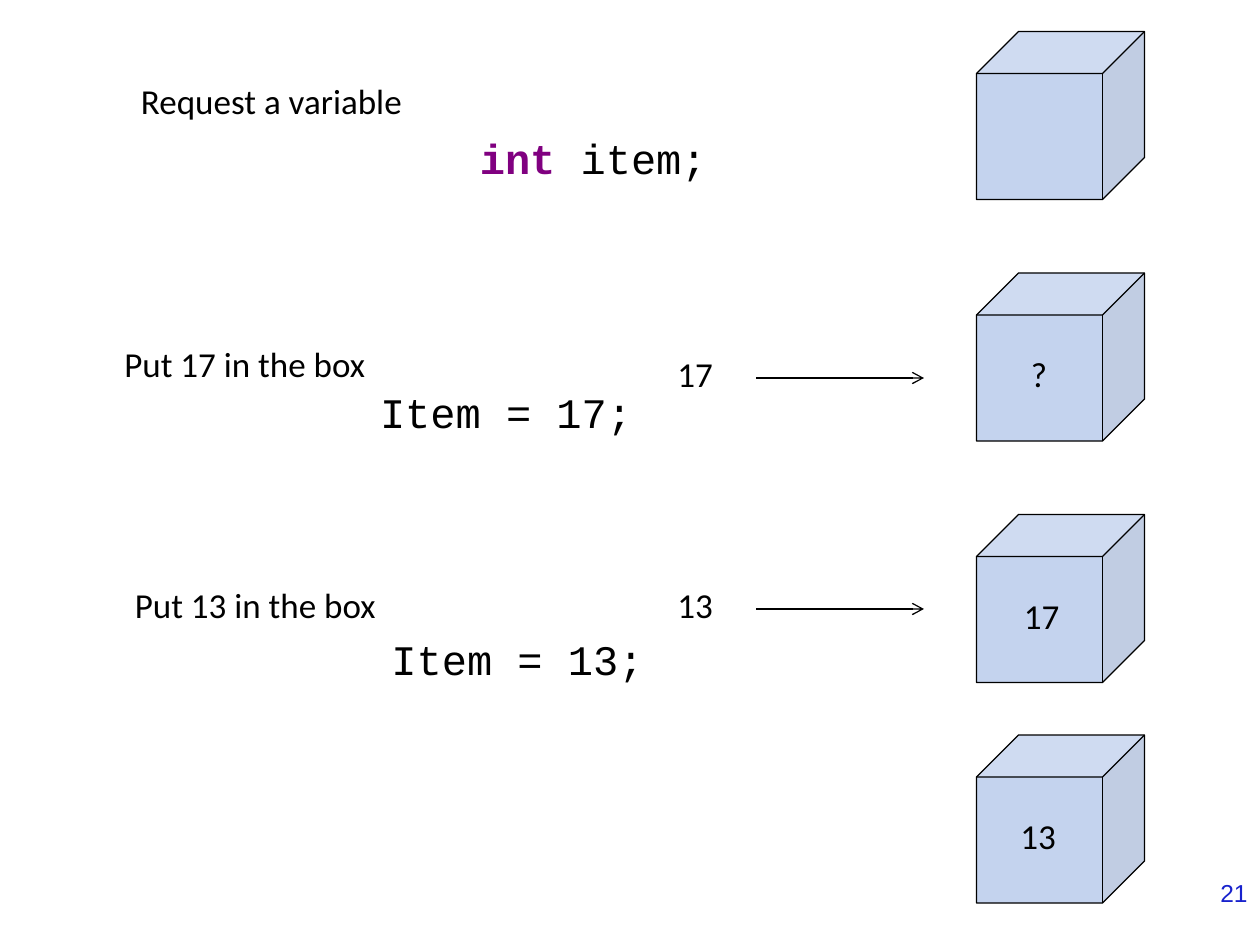
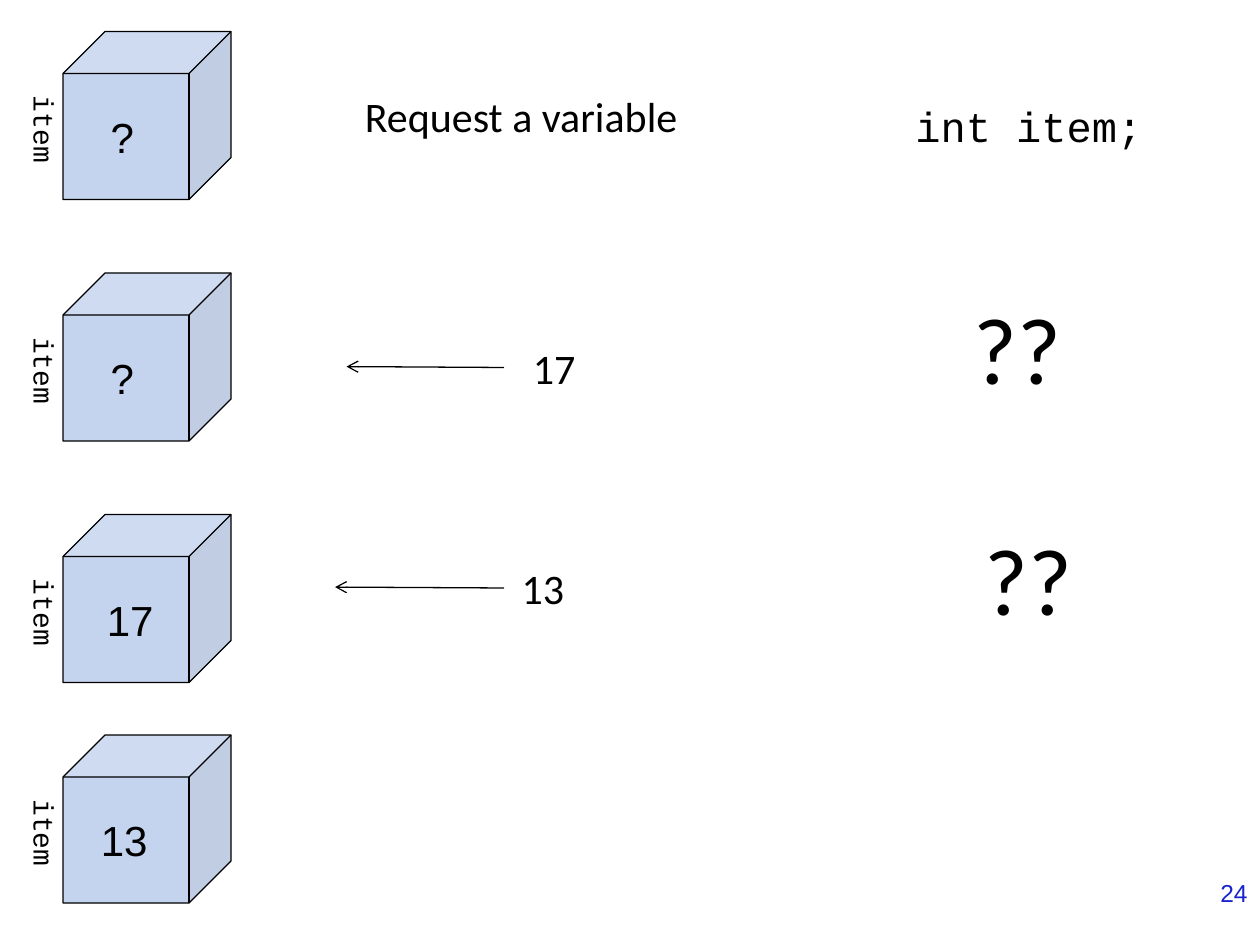
from lxml.etree import SubElement
from pptx import Presentation
from pptx.dml.color import RGBColor
from pptx.enum.shapes import MSO_CONNECTOR, MSO_SHAPE
from pptx.enum.text import MSO_ANCHOR, MSO_AUTO_SIZE, PP_ALIGN
from pptx.oxml.ns import qn
from pptx.util import Pt

BLACK, BLUE, PURPLE, PAGE = "000000", "3568C7", "800080", "1822CD"
SMALL = {"name": "Calibri", "size": Pt(20)}
PLAIN = {"name": "Calibri", "size": Pt(24)}
HUGE = {"name": "Calibri", "size": Pt(54)}
CODE = {"name": "Courier New", "size": Pt(24)}
SIDE = {"name": "Courier New", "size": Pt(16)}
VALUE = {"name": "Arial", "size": Pt(24)}
FOOT = {"name": "Arial", "size": Pt(14)}
TOPS = (18, 156, 294, 420)
EDGE = 96

hue = RGBColor.from_string


def style(font, look, ink=BLACK):
    for key, value in look.items():
        setattr(font, key, value)
    font.color.rgb = hue(ink)


def write(slide, words, x, y, wide, look, align=PP_ALIGN.LEFT, ink=BLACK, space=1.0):
    """Add a one-line text box as tall as its font needs; return the box."""
    tall = look["size"].pt * 1.2 * space + 7.2
    box = slide.shapes.add_textbox(Pt(x), Pt(y), Pt(wide), Pt(tall))
    box.text_frame.word_wrap = align == PP_ALIGN.RIGHT
    box.text_frame.auto_size = MSO_AUTO_SIZE.SHAPE_TO_FIT_TEXT
    line = box.text_frame.paragraphs[0]
    line.alignment, line.line_spacing = align, space
    run = line.add_run()
    run.text = words
    style(run.font, look, ink)
    return box


deck = Presentation()
deck.slide_width, deck.slide_height = Pt(720), Pt(540)
steps, quiz = [deck.slides.add_slide(deck.slide_layouts[6]) for _ in range(2)]

# Cubes, arrows and page number on both slides
for slide, left, arrows, page in (
    (steps, 558, ((432, 216, 528, 216), (432, 348, 528, 348)), "21"),
    (quiz, 36, ((288, 210, 198, 209.5), (288, 336, 191.5, 335.5)), "24"),
):
    for top in TOPS:
        cube = slide.shapes.add_shape(MSO_SHAPE.CUBE, Pt(left), Pt(top), Pt(EDGE), Pt(EDGE))
        cube.adjustments[0] = 0.25
        cube.shadow.inherit = False
        cube.fill.solid()
        cube.fill.fore_color.rgb = hue(BLUE)
        tint = cube.fill._xPr.find(qn("a:solidFill"))[0]
        SubElement(tint, qn("a:alpha"), val="29000")
        cube.line.color.rgb = hue(BLACK)
        cube.line.width = Pt(0.75)
        if slide is quiz and top in TOPS[:2]:
            frame = cube.text_frame
            frame.vertical_anchor = MSO_ANCHOR.MIDDLE
            frame.margin_left = Pt(27.2)
            mark = frame.paragraphs[0]
            mark.alignment = PP_ALIGN.LEFT
            run = mark.add_run()
            run.text = "?"
            style(run.font, VALUE)
    for ends in arrows:
        arrow = slide.shapes.add_connector(MSO_CONNECTOR.STRAIGHT, *map(Pt, ends))
        arrow.line.color.rgb = hue(BLACK)
        arrow.line.width = Pt(0.75)
        SubElement(arrow.line._get_or_add_ln(), qn("a:tailEnd"), type="arrow")
        SubElement(arrow._element.spPr, qn("a:effectLst"))
    write(slide, page, 684, 498, 36, FOOT, PP_ALIGN.RIGHT, PAGE)

# Slide 1: each step with its code
for words, x, y, wide in (
    ("Request a variable", 73.5, 42, 168.5),
    ("Put 17 in the box", 64, 192, 152.5),
    ("Put 13 in the box", 70, 330, 152.5),
    ("17", 380, 198, 35),
    ("13", 380, 330, 35),
    ("?", 582, 198, 24),
    ("17", 578, 336, 35),
    ("13", 576, 462, 35),
):
    write(steps, words, x, y, wide, SMALL)

for words, x, y, wide in (
    ("int", 267, 75.5, 144),
    ("Item = 17;", 210, 220.5, 158.4),
    ("Item = 13;", 216.5, 361.5, 158.4),
):
    code = write(steps, words, x, y, wide, CODE, PP_ALIGN.CENTER, space=0.9)
    if words == "int":
        line = code.text_frame.paragraphs[0]
        style(line.runs[0].font, {"bold": True}, PURPLE)
        rest = line.add_run()
        rest.text = " item;"
        style(rest.font, CODE)

# Slide 2: the same steps with the code left to find
for words, x, y, wide, look in (
    ("Request a variable", 201.5, 48, 227.5, PLAIN),
    ("17", 297.5, 192, 39, PLAIN),
    ("13", 291, 318, 39, PLAIN),
    ("17", 54, 336, 41, VALUE),
    ("13", 50.5, 462, 41, VALUE),
    ("int item;", 516, 54, 144, CODE),
    ("??", 549.5, 162, 66, HUGE),
    ("??", 555.5, 294, 66, HUGE),
):
    write(quiz, words, x, y, wide, look)

for top in TOPS:
    name = write(quiz, "item", -0.7, top + 42.7, 52.5, SIDE)
    name.rotation = 90

deck.save("out.pptx")
